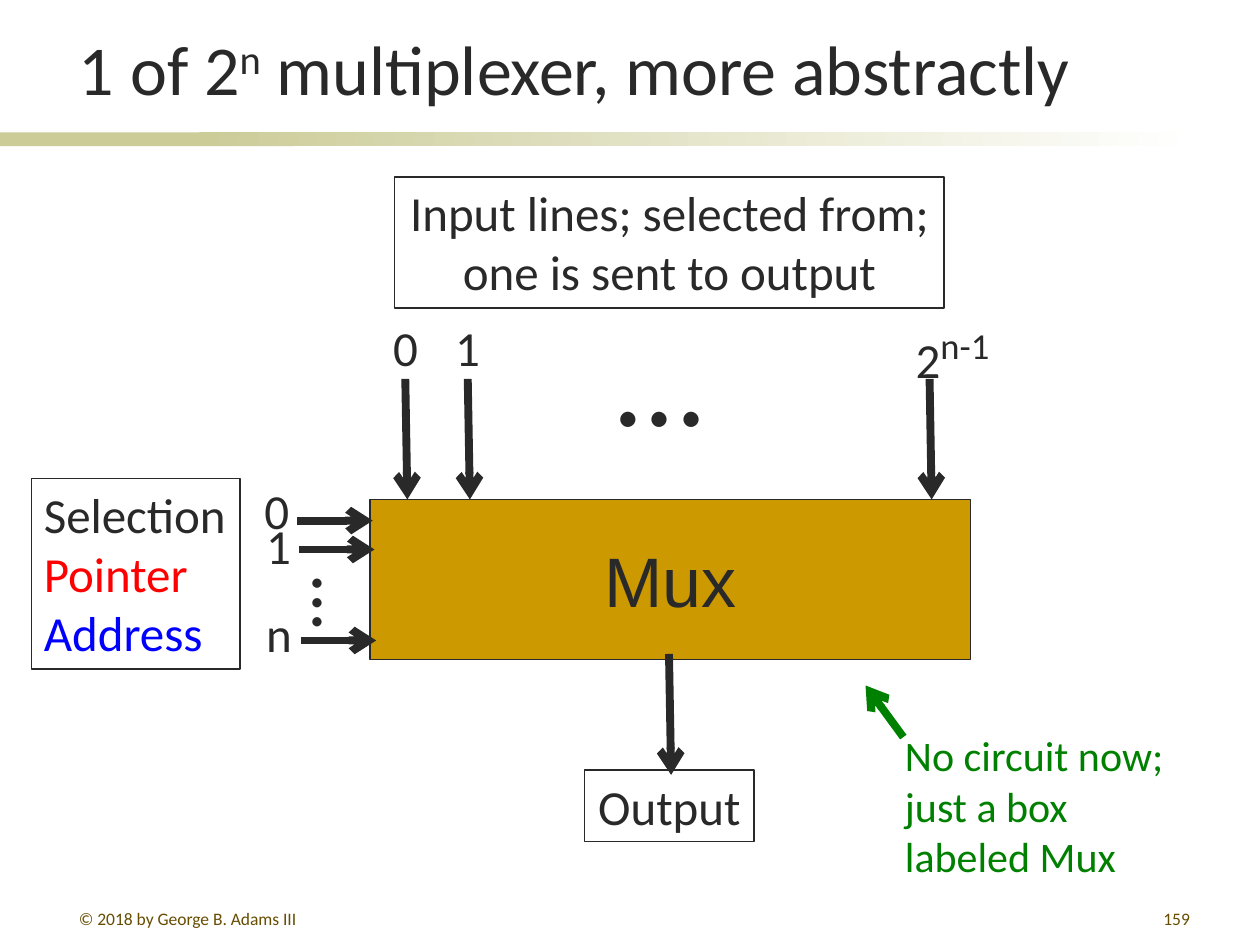
from lxml.etree import SubElement
from pptx import Presentation
from pptx.dml.color import RGBColor
from pptx.enum.shapes import MSO_CONNECTOR, MSO_SHAPE
from pptx.enum.text import MSO_ANCHOR, PP_ALIGN
from pptx.oxml.ns import qn
from pptx.util import Pt

INK = RGBColor(0x29, 0x29, 0x29)
KHAKI = RGBColor(0xCC, 0xCC, 0x99)
WHITE = RGBColor(0xFF, 0xFF, 0xFF)
GOLD = RGBColor(0xCC, 0x99, 0x00)
BROWN = RGBColor(0x66, 0x4D, 0x00)
RED = RGBColor(0xFF, 0x00, 0x00)
BLUE = RGBColor(0x00, 0x00, 0xFF)
GREEN = RGBColor(0x00, 0x80, 0x00)


def write(shape, text, size, color=INK, font="Calibri", align=PP_ALIGN.LEFT,
          anchor=MSO_ANCHOR.TOP, wrap=False):
    """Fill a shape with one paragraph and return that paragraph."""
    frame = shape.text_frame
    frame.word_wrap = wrap
    frame.vertical_anchor = anchor
    paragraph = frame.paragraphs[0]
    paragraph.text = text
    paragraph.alignment = align
    paragraph.font.name = font
    paragraph.font.size = Pt(size)
    paragraph.font.color.rgb = color
    return paragraph


def add_label(slide, left, top, width, height, text, size, **style):
    label = slide.shapes.add_textbox(Pt(left), Pt(top), Pt(width), Pt(height))
    return label, write(label, text, size, **style)


def add_run(paragraph, text, color=None):
    run = paragraph.add_run()
    run.text = text
    if color is not None:
        run.font.color.rgb = color
    return run


def add_superscript(paragraph, text):
    run = add_run(paragraph, text)
    run.font._element.set("baseline", "30000")
    return run


def add_box(slide, left, top, width, height, fill=None, line_width=None):
    box = slide.shapes.add_shape(
        MSO_SHAPE.RECTANGLE, Pt(left), Pt(top), Pt(width), Pt(height))
    box.shadow.inherit = False
    if fill is None:
        box.fill.background()
    else:
        box.fill.solid()
        box.fill.fore_color.rgb = fill
    if line_width is None:
        box.line.fill.background()
    else:
        box.line.color.rgb = INK
        box.line.width = Pt(line_width)
    return box


def add_arrow(slide, x1, y1, x2, y2, color=INK):
    arrow = slide.shapes.add_connector(
        MSO_CONNECTOR.STRAIGHT, Pt(x1), Pt(y1), Pt(x2), Pt(y2))
    arrow.line.color.rgb = color
    arrow.line.width = Pt(4.5)
    SubElement(arrow.line._get_or_add_ln(), qn("a:tailEnd"), type="arrow")
    SubElement(arrow._element.spPr, qn("a:effectLst"))


def add_title_band(slide):
    add_box(slide, 0, 75.6, 168, 8, KHAKI)
    fade = add_box(slide, 114, 75.6, 570, 8, KHAKI)
    fade.fill.gradient()
    fade.fill.gradient_angle = 0
    for stop, color, position in zip(fade.fill.gradient_stops, (KHAKI, WHITE), (0, 1)):
        stop.color.rgb = color
        stop.position = position


def add_title(slide):
    _, title = add_label(slide, 38, 8, 649, 58, "1 of 2", 40,
                         anchor=MSO_ANCHOR.BOTTOM, wrap=True)
    add_superscript(title, "n")
    add_run(title, " multiplexer, more abstractly")


def add_footer(slide):
    add_label(slide, 38, 515.5, 156, 15, "© 2018 by George B. Adams III", 10,
              color=BROWN, wrap=True)
    add_label(slide, 537, 515.5, 150, 15, "159", 10, color=BROWN,
              align=PP_ALIGN.RIGHT, wrap=True)


def add_input_lines(slide):
    heading = add_box(slide, 225.5, 101, 314, 75, line_width=1)
    write(heading, "Input lines; selected from;\vone is sent to output", 28,
          align=PP_ALIGN.CENTER)
    for x in (231.6, 267.3, 531.2):
        add_arrow(slide, x, 216.5, x + 1.2, 285.4)
    for left, number in ((217.5, "0"), (253, "1")):
        add_label(slide, left, 178, 29, 41, number, 28)
    _, last = add_label(slide, 516.2, 177, 61, 41, "2", 28)
    add_superscript(last, "n-1").font.size = Pt(36)
    add_label(slide, 345, 168, 75, 94, "…", 72)


def add_selection_lines(slide):
    selection = write(add_box(slide, 18, 273.5, 119, 109, line_width=1),
                      "Selection ", 28, wrap=True)
    add_run(selection, "Pointer", RED)
    add_run(selection, " Address", BLUE)
    for x, y in ((170, 297.5), (171, 314), (172, 366)):
        add_arrow(slide, x, y, x + 43, y)
    for left, top, name in ((144, 271, "0"), (145, 291, "1"), (145, 341.5, "n")):
        add_label(slide, left, top, 29, 41, name, 28)
    dots, _ = add_label(slide, 140.5, 310.5, 52, 60.5, "…", 44)
    dots.rotation = 270


def add_output(slide):
    add_arrow(slide, 382.3, 373.7, 383.5, 442.8)
    output = add_box(slide, 334, 440, 97, 41, line_width=1)
    write(output, "Output", 28, align=PP_ALIGN.CENTER)


def add_remark(slide):
    add_label(slide, 510, 413.5, 167, 94, "No circuit now; just a box labeled Mux",
              24, color=GREEN, wrap=True)
    add_arrow(slide, 516.2, 421.2, 494.6, 391.7, GREEN)


def main():
    presentation = Presentation()
    presentation.slide_width, presentation.slide_height = Pt(720), Pt(540)
    slide = presentation.slides.add_slide(presentation.slide_layouts[6])
    add_title_band(slide)
    add_title(slide)
    add_footer(slide)
    mux = add_box(slide, 211.5, 285.5, 343, 91.5, GOLD, 0.75)
    write(mux, "Mux", 40, font="Arial", align=PP_ALIGN.CENTER, anchor=MSO_ANCHOR.MIDDLE)
    add_input_lines(slide)
    add_selection_lines(slide)
    add_output(slide)
    add_remark(slide)
    presentation.save("out.pptx")


if __name__ == "__main__":
    main()
